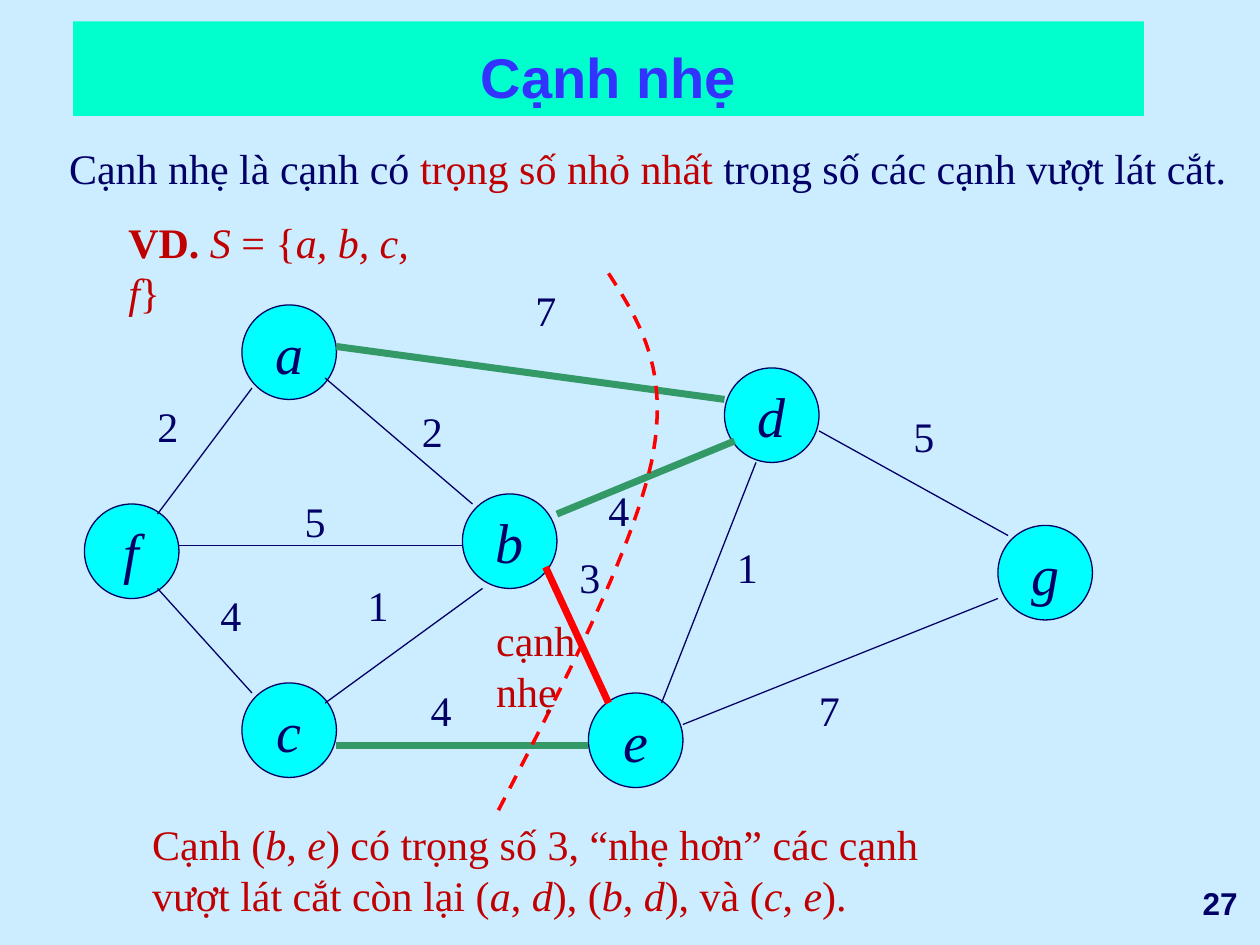
import pptx
import pptx.dml.color
import pptx.enum.dml
import pptx.enum.shapes
import pptx.enum.text
import pptx.oxml.ns
import pptx.util
from lxml import etree
from pptx.util import Inches

COLORS = {
    "background": "CCECFF", "banner": "00FFCC", "title": "3333FF",
    "node": "00FFFF", "ink": "000066", "crossing": "339966",
    "light": "FF0000", "accent": "C00000",
}
SERIF = "Times New Roman"
ALIGN = pptx.enum.text.PP_ALIGN
ANCHOR = pptx.enum.text.MSO_ANCHOR
NODE_SIZE = 0.75

NODES = {
    "f": (0.67, 4), "d": (5.75, 2.92), "a": (1.92, 2.42), "b": (3.67, 3.92),
    "c": (1.92, 5.42), "e": (4.67, 5.5), "g": (7.92, 4.17),
}
# Start, end, colour, width in points
EDGES = [
    ((2.58, 3), (3.75, 4), "ink", 0.75),
    ((2, 3.08), (1.25, 4.08), "ink", 0.75),
    ((3.83, 4.67), (2.58, 5.58), "ink", 0.75),
    ((1.25, 4.67), (2, 5.5), "ink", 0.75),
    ((4.42, 4.08), (5.83, 3.5), "crossing", 4),
    ((2.67, 2.75), (5.75, 3.17), "crossing", 4),
    ((4.33, 4.5), (4.83, 5.58), "light", 4),
    ((2.67, 5.92), (4.67, 5.92), "crossing", 4),
    ((6, 3.67), (5.25, 5.58), "ink", 0.75),
    ((5.42, 5.75), (7.92, 4.75), "ink", 0.75),
    ((6.5, 3.42), (8, 4.25), "ink", 0.75),
    ((1.42, 4.33), (3.67, 4.33), "ink", 0.75),
]
WEIGHTS = [
    ("2", 1.15, 3.13), ("7", 4.15, 2.21), ("5", 7.15, 3.21), ("7", 6.4, 5.38),
    ("1", 5.75, 4.25), ("4", 4.73, 3.8), ("1", 2.82, 4.55), ("3", 4.5, 4.33),
    ("4", 3.32, 5.38), ("4", 1.65, 4.63), ("5", 2.32, 3.88), ("2", 3.25, 3.17),
]
CUT_CURVES = [
    ((4.83, 2.17), (5.08, 2.56), (5.32, 2.94), (5.17, 3.67)),
    ((5.17, 3.67), (5.01, 4.39), (4.47, 5.44), (3.92, 6.5)),
]


def rgb(name):
    return pptx.dml.color.RGBColor.from_string(COLORS[name])


def add_span(para, text, color="ink", size=24, font=SERIF, bold=False, italic=False):
    span = para.add_run()
    span.text = text
    span.font.name = font
    span.font.size = pptx.util.Pt(size)
    span.font.bold = bold
    span.font.italic = italic
    span.font.color.rgb = rgb(color)
    return span


def add_math(para, text, color):
    """Add text in which the parts between asterisks are italic."""
    for index, part in enumerate(text.split("*")):
        if part:
            add_span(para, part, color, italic=index % 2 == 1)


def add_box(slide, left, top, width, height=0.5):
    box = slide.shapes.add_textbox(*map(Inches, (left, top, width, height)))
    box.text_frame.word_wrap = False
    return box.text_frame


def add_filled_shape(slide, kind, place, color):
    shape = slide.shapes.add_shape(kind, *map(Inches, place))
    shape.shadow.inherit = False
    shape.fill.solid()
    shape.fill.fore_color.rgb = rgb(color)
    shape.text_frame.paragraphs[0].alignment = ALIGN.CENTER
    return shape


def add_title(slide, text):
    banner = add_filled_shape(slide, pptx.enum.shapes.MSO_SHAPE.RECTANGLE,
                              (0.58, 0.17, 8.5, 0.75), "banner")
    banner.line.fill.background()
    banner.text_frame.vertical_anchor = ANCHOR.BOTTOM
    add_span(banner.text_frame.paragraphs[0], text, "title", 32, "Arial", bold=True)


def add_node(slide, name, left, top):
    node = add_filled_shape(slide, pptx.enum.shapes.MSO_SHAPE.OVAL,
                            (left, top, NODE_SIZE, NODE_SIZE), "node")
    node.line.color.rgb = rgb("ink")
    node.line.width = pptx.util.Pt(0.75)
    node.text_frame.word_wrap = False
    node.text_frame.vertical_anchor = ANCHOR.MIDDLE
    add_span(node.text_frame.paragraphs[0], name, size=32, italic=True)


def add_edge(slide, start, end, color, width):
    edge = slide.shapes.add_connector(pptx.enum.shapes.MSO_CONNECTOR.STRAIGHT,
                                      *map(Inches, start + end))
    edge.line.color.rgb = rgb(color)
    edge.line.width = pptx.util.Pt(width)
    etree.SubElement(edge._element.spPr, pptx.oxml.ns.qn("a:effectLst"))


def bezier_point(curve, t):
    factors = ((1 - t) ** 3, 3 * t * (1 - t) ** 2, 3 * t ** 2 * (1 - t), t ** 3)
    return tuple(Inches(sum(f * point[axis] for f, point in zip(factors, curve)))
                 for axis in (0, 1))


def add_cut(slide, steps=24):
    points = [bezier_point(curve, step / steps)
              for curve in CUT_CURVES for step in range(1, steps + 1)]
    builder = slide.shapes.build_freeform(*map(Inches, CUT_CURVES[0][0]))
    builder.add_line_segments(points, close=False)
    cut = builder.convert_to_shape()
    cut.shadow.inherit = False
    cut.fill.background()
    cut.line.color.rgb = rgb("light")
    cut.line.width = pptx.util.Pt(2)
    cut.line.dash_style = pptx.enum.dml.MSO_LINE.DASH


def add_texts(slide):
    example = add_box(slide, 0.92, 1.67, 2.76).paragraphs[0]
    add_span(example, "VD.", "accent", bold=True)
    add_math(example, "* S* = {*a, b, c, f*}", "accent")

    remark = add_box(slide, 1.11, 6.45, 6.45, 0.9)
    add_math(remark.paragraphs[0],
             "Cạnh (*b*, *e*) có trọng số 3, “nhẹ hơn” các cạnh", "accent")
    add_math(remark.add_paragraph(),
             "vượt lát cắt còn lại (*a*, *d*), (*b*, *d*), và (*c*, *e*).", "accent")

    light_label = add_box(slide, 3.84, 4.83, 1.47).paragraphs[0]
    add_span(light_label, "cạnh", "accent")
    gap = add_span(light_label, " ", "accent")
    gap._r.get_or_add_rPr().set("spc", "600")  # widens the gap by 6 pt
    add_span(light_label, "nhẹ", "accent")

    definition = add_box(slide, 0.45, 1.08, 9.47).paragraphs[0]
    add_span(definition, "Cạnh nhẹ là cạnh có ")
    add_span(definition, "trọng số nhỏ nhất ", "accent")
    add_span(definition, "trong số các cạnh vượt lát cắt.")


def add_page_number(slide, number):
    frame = add_box(slide, 8, 6.92, 1.92)
    frame.vertical_anchor = ANCHOR.MIDDLE
    frame.paragraphs[0].alignment = ALIGN.RIGHT
    add_span(frame.paragraphs[0], number, size=18, font="Arial", bold=True)


def main():
    deck = pptx.Presentation()
    deck.slide_width, deck.slide_height = Inches(10), Inches(7.5)
    slide = deck.slides.add_slide(deck.slide_layouts[6])
    slide.background.fill.solid()
    slide.background.fill.fore_color.rgb = rgb("background")

    add_page_number(slide, "27")
    add_title(slide, "Cạnh nhẹ")
    for name, (left, top) in NODES.items():
        add_node(slide, name, left, top)
    for edge in EDGES:
        add_edge(slide, *edge)
    for weight, left, top in WEIGHTS:
        add_span(add_box(slide, left, top, 0.36).paragraphs[0], weight)
    add_cut(slide)
    add_texts(slide)
    deck.save("out.pptx")


if __name__ == "__main__":
    main()
